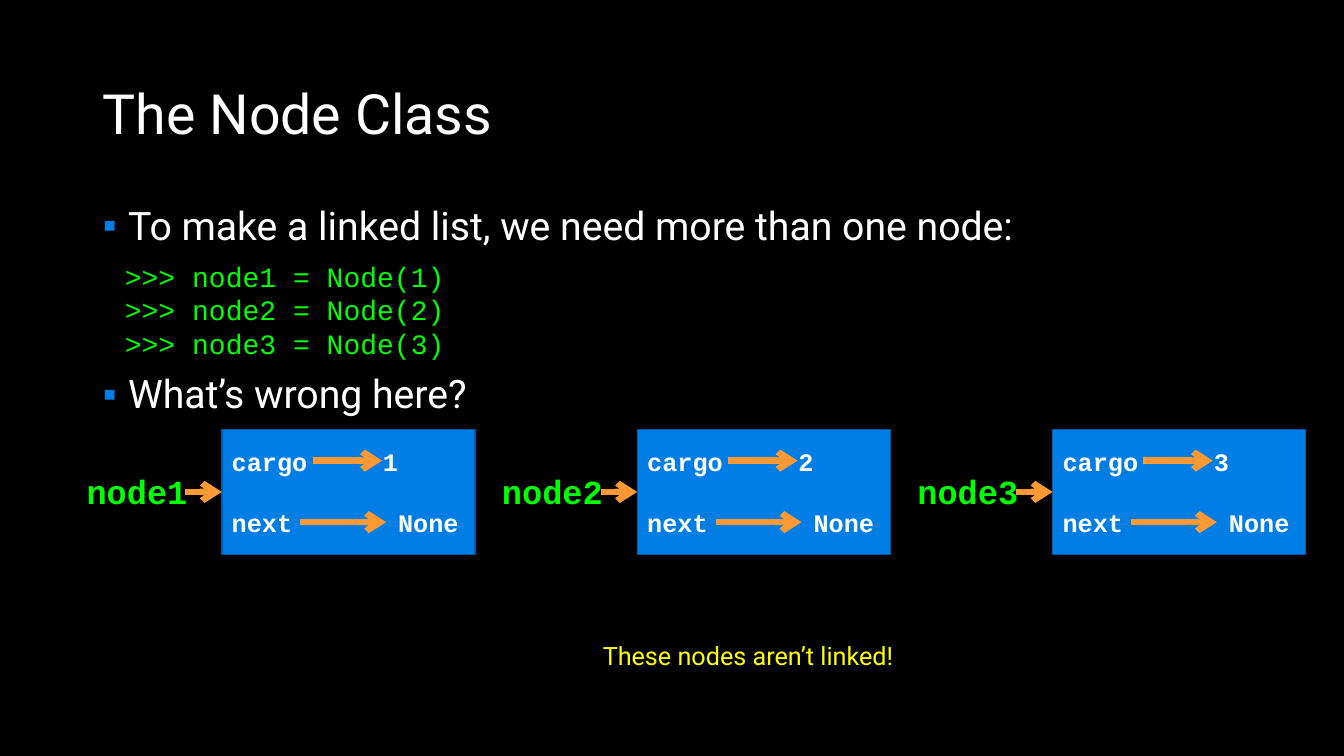
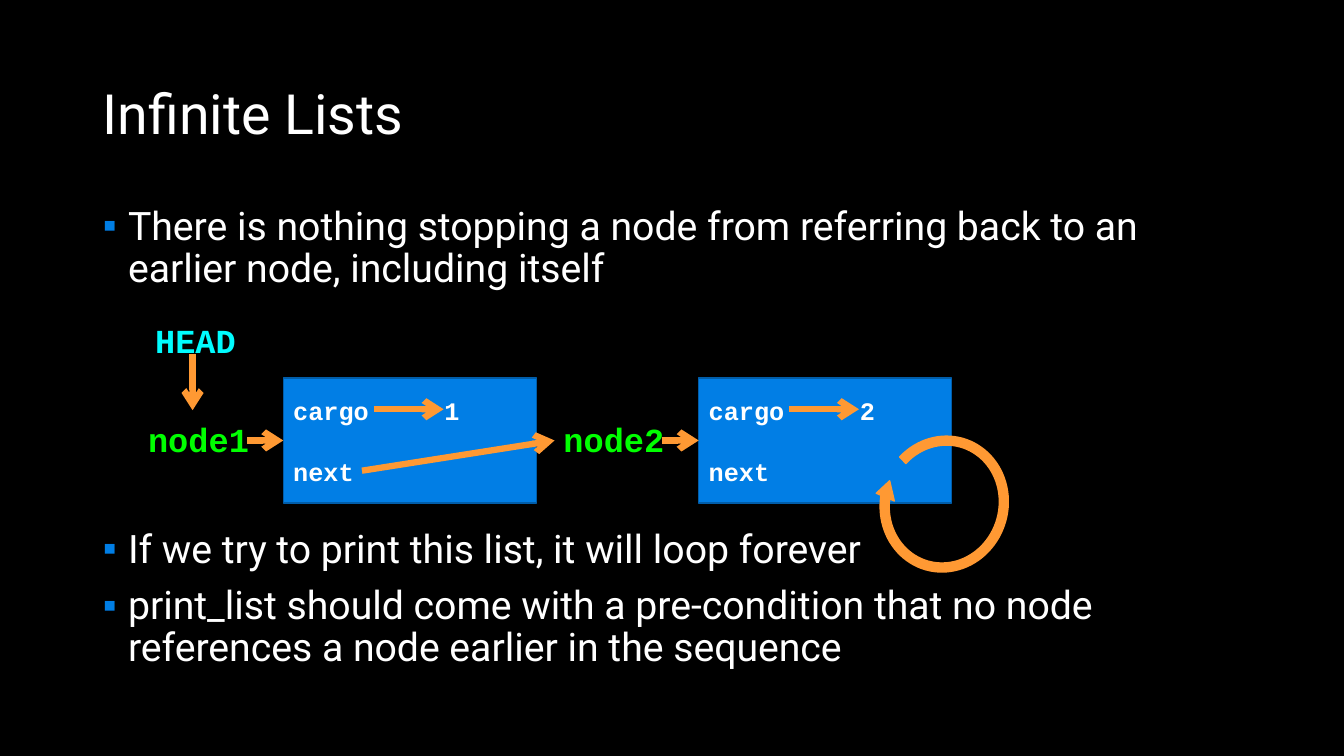
"""Build two slides about linked list nodes and infinite lists."""
from dataclasses import dataclass

from lxml.etree import SubElement
from pptx import Presentation
from pptx.dml.color import RGBColor
from pptx.enum.shapes import MSO_CONNECTOR as Connector, MSO_SHAPE as Preset
from pptx.enum.text import MSO_ANCHOR as Anchor, MSO_AUTO_SIZE as AutoSize, PP_ALIGN as Align
from pptx.oxml.ns import qn
from pptx.util import Inches, Pt

BLACK, WHITE, YELLOW = "000000", "FFFFFF", "FFFF00"
GREEN, CYAN, ORANGE = "00FF00", "00FCFF", "FF9933"
BULLET_BLUE, NODE_BLUE, NODE_EDGE = "007EE5", "017EE5", "015DA9"
SANS, MONO = "Roboto", "Courier New"
NODE_WIDTH, NODE_HEIGHT, NODE_PITCH = 2.51, 1.24, 4.12
CARGO_Y, LABEL_Y, NEXT_Y = 0.31, 0.62, 0.92
NEXT_X = 0.78
LIST_GAP, LIST_LINE = 10, 30


@dataclass(frozen=True)
class TextStyle:
    size: float
    font: str = SANS
    color: str = WHITE
    bold: bool = False


@dataclass(frozen=True)
class Bullet:
    text: str
    lines_above: int = 0


@dataclass(frozen=True)
class Node:
    number: int
    left: float
    top: float
    next_value: str = ""


TITLE = TextStyle(39.6)
LIST = TextStyle(28)
CODE = TextStyle(20, MONO, GREEN)
FIELD = TextStyle(18, MONO, bold=True)
NODE_NAME = TextStyle(24, MONO, GREEN, True)
HEAD_NAME = TextStyle(24, MONO, CYAN, True)
REMARK = TextStyle(18, SANS, YELLOW)


def rgb(color: str) -> RGBColor:
    return RGBColor.from_string(color)


def style_runs(paragraph, style: TextStyle) -> None:
    for run in paragraph.runs:
        run.font.size = Pt(style.size)
        run.font.name = style.font
        run.font.bold = style.bold
        run.font.color.rgb = rgb(style.color)


def place(shape, left: float, top: float, width: float, height: float) -> None:
    shape.left, shape.top = Inches(left), Inches(top)
    shape.width, shape.height = Inches(width), Inches(height)


def add_bullet_mark(paragraph) -> None:
    properties = paragraph._p.get_or_add_pPr()
    properties.set("marL", str(Inches(0.25)))
    properties.set("indent", str(-Inches(0.25)))
    mark_color = SubElement(properties, qn("a:buClr"))
    SubElement(mark_color, qn("a:srgbClr"), val=BULLET_BLUE)
    SubElement(properties, qn("a:buChar"), char="▪")


def add_content_slide(deck, title: str, bullets: list[Bullet]):
    slide = deck.slides.add_slide(deck.slide_layouts[1])
    heading, body = slide.placeholders
    place(heading, 0.92, 0.8, 11.5, 0.72)
    heading.text_frame.text = title
    heading.text_frame.vertical_anchor = Anchor.MIDDLE
    heading_line = heading.text_frame.paragraphs[0]
    heading_line.alignment = Align.LEFT
    heading_line.line_spacing = 0.9
    style_runs(heading_line, TITLE)

    place(body, 0.92, 2, 11.5, 5.29)
    body.text_frame.text = "\n".join(bullet.text for bullet in bullets)
    for index, (bullet, paragraph) in enumerate(zip(bullets, body.text_frame.paragraphs)):
        add_bullet_mark(paragraph)
        paragraph.line_spacing = 0.9
        gap = LIST_GAP + bullet.lines_above * (LIST_GAP + LIST_LINE)
        paragraph.space_before = Pt(gap if index else 0)
        style_runs(paragraph, LIST)
    for frame in (heading.text_frame, body.text_frame):
        frame.auto_size = AutoSize.NONE
    return slide


def add_label(slide, text: str, left: float, top: float, width: float, height: float,
              style: TextStyle, wrap: bool = False) -> None:
    label = slide.shapes.add_textbox(Inches(left), Inches(top), Inches(width), Inches(height))
    label.text_frame.word_wrap = wrap
    label.text_frame.text = text
    for paragraph in label.text_frame.paragraphs:
        style_runs(paragraph, style)


def add_arrow(slide, start: tuple[float, float], end: tuple[float, float]) -> None:
    arrow = slide.shapes.add_connector(
        Connector.STRAIGHT, *(Inches(value) for value in (*start, *end)))
    arrow.line.color.rgb = rgb(ORANGE)
    arrow.line.width = Pt(4.5)
    properties = arrow.element.spPr
    SubElement(properties.find(qn("a:ln")), qn("a:tailEnd"), type="arrow")
    SubElement(properties, qn("a:effectLst"))


def add_filled_shape(slide, preset, left: float, top: float, width: float, height: float,
                     fill: str, edge: str):
    shape = slide.shapes.add_shape(
        preset, Inches(left), Inches(top), Inches(width), Inches(height))
    shape.shadow.inherit = False
    shape.fill.solid()
    shape.fill.fore_color.rgb = rgb(fill)
    shape.line.color.rgb = rgb(edge)
    shape.line.width = Pt(1)
    return shape


def add_node(slide, node: Node) -> None:
    left, top = node.left, node.top
    box = add_filled_shape(slide, Preset.RECTANGLE, left, top, NODE_WIDTH, NODE_HEIGHT,
                           NODE_BLUE, NODE_EDGE)
    frame = box.text_frame
    frame.vertical_anchor = Anchor.MIDDLE
    next_field = f"next\t{node.next_value}" if node.next_value else "next"
    frame.text = f"cargo\t{node.number}\n{next_field}"
    for paragraph, value_x, gap in zip(frame.paragraphs, (1.5, 1.65), (0, 22)):
        tabs = SubElement(paragraph._p.get_or_add_pPr(), qn("a:tabLst"))
        SubElement(tabs, qn("a:tab"), pos=str(Inches(value_x)), algn="l")
        paragraph.alignment = Align.LEFT
        paragraph.space_before = Pt(gap)
        style_runs(paragraph, FIELD)
    add_arrow(slide, (left + 0.9, top + CARGO_Y), (left + 1.59, top + CARGO_Y))
    if node.next_value:
        add_arrow(slide, (left + NEXT_X, top + NEXT_Y), (left + 1.63, top + NEXT_Y))
    add_label(slide, f"node{node.number}", left - 1.44, top + 0.36, 1.21, 0.5, NODE_NAME)
    add_arrow(slide, (left - 0.36, top + LABEL_Y), (left, top + LABEL_Y))


def node_row(count: int, left: float, top: float, next_value: str = "") -> list[Node]:
    return [Node(index + 1, left + index * NODE_PITCH, top, next_value)
            for index in range(count)]


def build_node_class(deck) -> None:
    slide = add_content_slide(deck, "The Node Class", [
        Bullet("To make a linked list, we need more than one node:"),
        Bullet("What’s wrong here?", lines_above=2),
    ])
    code = "\n".join(f">>> node{number} = Node({number})" for number in range(1, 4))
    add_label(slide, code, 1.14, 2.52, 5, 1.11, CODE, wrap=True)
    for node in node_row(3, 2.2, 4.26, "None"):
        add_node(slide, node)
    add_label(slide, "These nodes aren’t linked!", 5.88, 6.3, 3.09, 0.4, REMARK)


def build_infinite_lists(deck) -> None:
    slide = add_content_slide(deck, "Infinite Lists", [
        Bullet("There is nothing stopping a node from referring back to an "
               "earlier node, including itself"),
        Bullet("If we try to print this list, it will loop forever", lines_above=4),
        Bullet("print_list should come with a pre-condition that no node "
               "references a node earlier in the sequence"),
    ])
    nodes = node_row(2, 2.81, 3.75)
    for node in nodes:
        add_node(slide, node)
    first = nodes[0]
    add_arrow(slide, (first.left + NEXT_X, first.top + NEXT_Y),
              (first.left + 2.69, first.top + LABEL_Y))
    add_label(slide, "HEAD", 1.44, 3.12, 1.01, 0.5, HEAD_NAME)
    add_arrow(slide, (1.91, 3.51), (1.91, 4.07))
    self_loop = add_filled_shape(slide, Preset.CIRCULAR_ARROW, 8.68, 4.27, 1.37, 1.46,
                                 ORANGE, ORANGE)
    self_loop.rotation = 195.7
    for index, value in enumerate((0.065, 9.818, 210.632, 18.531, 0.071)):
        self_loop.adjustments[index] = value


def main() -> None:
    deck = Presentation()
    deck.slide_width, deck.slide_height = Inches(13.33), Inches(7.5)
    backdrop = deck.slide_master.background.fill
    backdrop.solid()
    backdrop.fore_color.rgb = rgb(BLACK)
    build_node_class(deck)
    build_infinite_lists(deck)
    deck.save("out.pptx")


if __name__ == "__main__":
    main()
